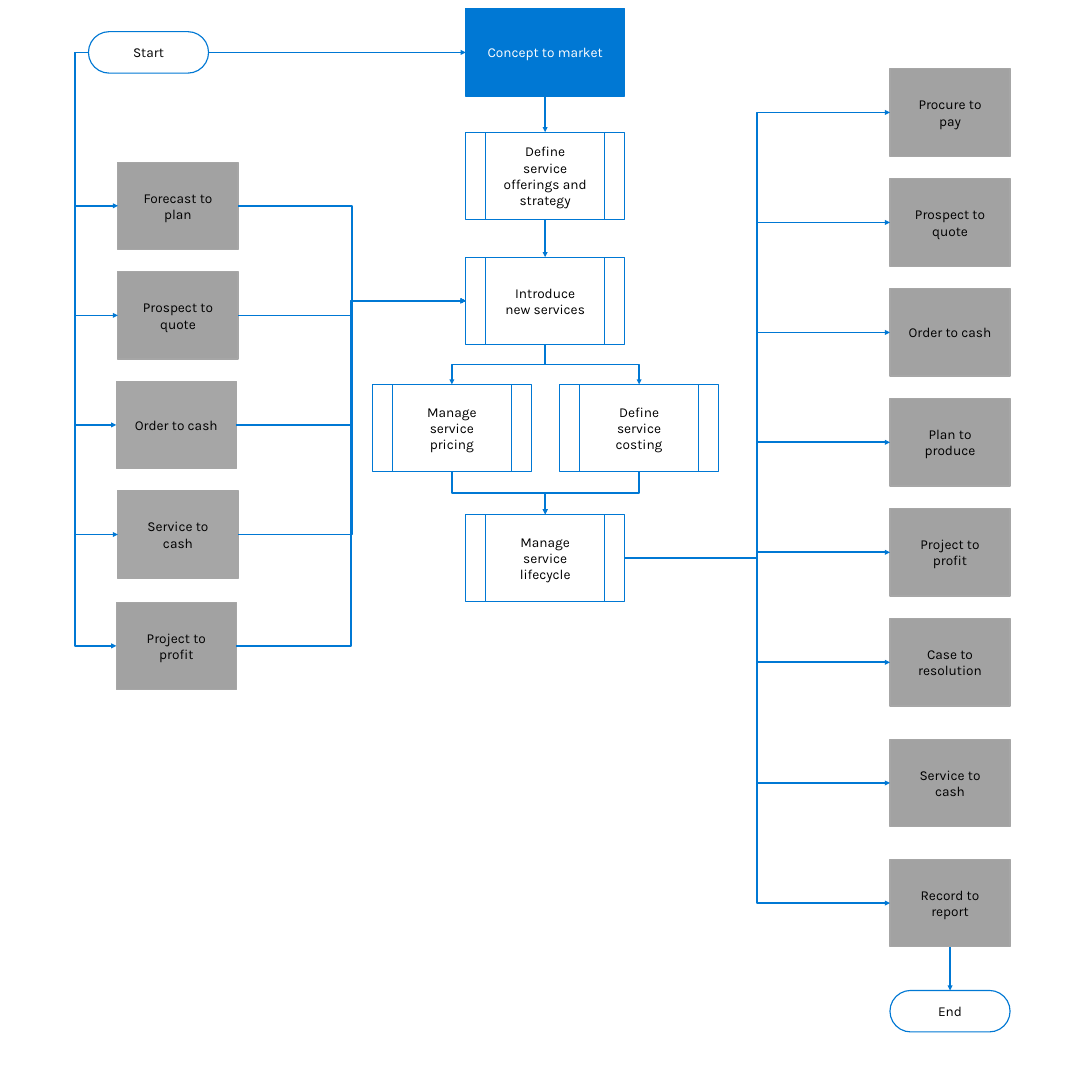
from dataclasses import dataclass

from lxml.etree import SubElement
from pptx import Presentation
from pptx.dml.color import RGBColor as Color
from pptx.enum.shapes import MSO_CONNECTOR as Link, MSO_SHAPE as Preset
from pptx.enum.text import MSO_ANCHOR as Anchor, PP_ALIGN as Align
from pptx.oxml.ns import qn
from pptx.util import Inches, Pt

GRID = 20
SLIDE = Inches(20)
TOP, LEFT, BOTTOM, RIGHT = range(4)


@dataclass(frozen=True)
class Theme:
    blue: Color = Color.from_string("0078D4")
    white: Color = Color.from_string("FFFFFF")
    black: Color = Color.from_string("000000")
    gray: Color = Color.from_string("A2A2A2")
    light_gray: Color = Color.from_string("A6A6A6")
    font: str = "Karla"
    text_size: Pt = Pt(18)
    outline: Pt = Pt(1.5)
    flow: Pt = Pt(2.25)


THEME = Theme()


def cells(count):
    return round(count * SLIDE / GRID)


def spread(first, last, count):
    return [first + (last - first) * index / (count - 1) for index in range(count)]


def add_node(slide, text, preset, left, top, width, height, fill, line, color=THEME.black):
    shape = slide.shapes.add_shape(preset, *map(cells, (left, top, width, height)))
    shape.shadow.inherit = False
    shape.fill.solid()
    shape.fill.fore_color.rgb = fill
    shape.line.color.rgb = line
    shape.line.width = THEME.outline
    frame = shape.text_frame
    frame.word_wrap = True
    frame.vertical_anchor = Anchor.MIDDLE
    frame.margin_left = frame.margin_right = cells(0.3)
    frame.margin_top = frame.margin_bottom = cells(0.24)
    paragraph = frame.paragraphs[0]
    paragraph.alignment = Align.CENTER
    run = paragraph.add_run()
    run.text = text
    run.font.name = THEME.font
    run.font.size = THEME.text_size
    run.font.color.rgb = color
    return shape


def add_terminator(slide, text, left, top):
    shape = add_node(slide, text, Preset.ROUNDED_RECTANGLE, left, top, 2.2, 0.76,
                     THEME.white, THEME.blue)
    shape.adjustments[0] = 0.5
    return shape


def add_process(slide, text, left, top):
    return add_node(slide, text, Preset.FLOWCHART_PREDEFINED_PROCESS, left, top, 2.91, 1.6,
                    THEME.white, THEME.blue)


def add_related(slide, text, left, top, fill=THEME.gray):
    return add_node(slide, text, Preset.RECTANGLE, left, top, 2.2, 1.6, fill, THEME.light_gray)


def add_flow(slide, kind, source, source_side, target, target_side):
    connector = slide.shapes.add_connector(kind, 0, 0, 0, 0)
    connector.begin_connect(source, source_side)
    connector.end_connect(target, target_side)
    connector.line.color.rgb = THEME.blue
    connector.line.width = THEME.flow
    SubElement(connector.line._get_or_add_ln(), qn("a:tailEnd"), type="triangle")
    SubElement(connector._element.spPr, qn("a:effectLst"))
    return connector


def add_arrow(slide, source, source_side, target, target_side):
    add_flow(slide, Link.STRAIGHT, source, source_side, target, target_side)


def add_side_elbow(slide, source, source_side, target, trunk=None):
    connector = add_flow(slide, Link.ELBOW, source, source_side, target, LEFT)
    if trunk is not None:
        start, end = connector.begin_x, connector.end_x
        share = round((cells(trunk) - start) / (end - start) * 100000)
        guides = connector._element.spPr.find(qn("a:prstGeom")).get_or_add_avLst()
        SubElement(guides, qn("a:gd"), name="adj1", fmla=f"val {share}")


def add_down_elbow(slide, source, target):
    connector = add_flow(slide, Link.ELBOW, source, BOTTOM, target, TOP)
    start_x, start_y = connector.begin_x, connector.begin_y
    end_x, end_y = connector.end_x, connector.end_y
    drop, shift = end_y - start_y, abs(end_x - start_x)
    rightward = end_x > start_x
    connector.left = (start_x + end_x - drop) // 2
    connector.top = (start_y + end_y - shift) // 2
    connector.width, connector.height = drop, shift
    transform = connector._element.spPr.find(qn("a:xfrm"))
    transform.rot = 270 if rightward else 90
    transform.flipH = rightward
    transform.flipV = False


def main():
    presentation = Presentation()
    presentation.slide_width = presentation.slide_height = SLIDE
    slide = presentation.slides.add_slide(presentation.slide_layouts[6])

    start = add_terminator(slide, "Start", 1.62, 0.58)
    end = add_terminator(slide, "End", 16.3, 18.14)
    concept = add_node(slide, "Concept to market", Preset.RECTANGLE, 8.53, 0.16, 2.91, 1.6,
                       THEME.blue, THEME.blue, THEME.white)
    strategy = add_process(slide, "Define service offerings and strategy", 8.53, 2.42)
    introduce = add_process(slide, "Introduce new services", 8.53, 4.71)
    pricing = add_process(slide, "Manage service pricing", 6.82, 7.04)
    costing = add_process(slide, "Define service costing", 10.25, 7.04)
    lifecycle = add_process(slide, "Manage service lifecycle", 8.53, 9.42)

    inputs = [
        ("Forecast to plan", 2.16, THEME.gray),
        ("Prospect to quote", 2.16, THEME.gray),
        ("Order to cash", 2.13, THEME.light_gray),
        ("Service to cash", 2.16, THEME.light_gray),
        ("Project to profit", 2.13, THEME.gray),
    ]
    input_tops = spread(2.97, 8.99, 4) + [11.03]
    for (text, left, fill), top in zip(inputs, input_tops):
        related = add_related(slide, text, left, top, fill)
        add_side_elbow(slide, start, LEFT, related, trunk=1.37)
        add_side_elbow(slide, related, RIGHT, introduce)

    outputs = ["Procure to pay", "Prospect to quote", "Order to cash", "Plan to produce",
               "Project to profit", "Case to resolution", "Service to cash", "Record to report"]
    output_tops = spread(1.26, 11.33, 6) + [13.54, 15.74]
    for text, top in zip(outputs, output_tops):
        related = add_related(slide, text, 16.3, top)
        add_side_elbow(slide, lifecycle, RIGHT, related)
    add_arrow(slide, related, BOTTOM, end, TOP)

    add_arrow(slide, start, RIGHT, concept, LEFT)
    add_arrow(slide, concept, BOTTOM, strategy, TOP)
    add_arrow(slide, strategy, BOTTOM, introduce, TOP)
    for branch in (pricing, costing):
        add_down_elbow(slide, introduce, branch)
        add_down_elbow(slide, branch, lifecycle)

    presentation.save("out.pptx")


if __name__ == "__main__":
    main()
